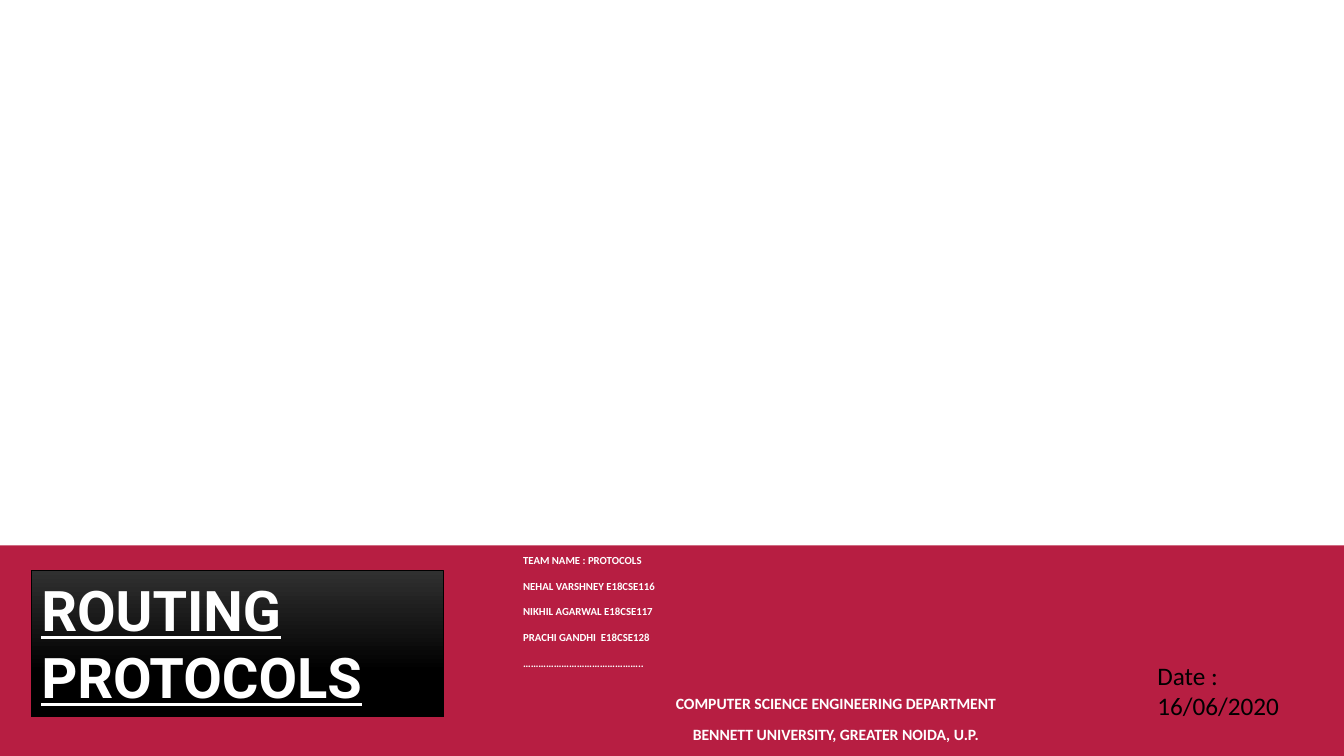
from pptx import Presentation
from pptx.dml.color import RGBColor
from pptx.enum.shapes import MSO_SHAPE
from pptx.enum.text import MSO_ANCHOR, MSO_AUTO_SIZE, PP_ALIGN
from pptx.util import Inches, Pt

RECT = MSO_SHAPE.RECTANGLE
LEFT, CENTER = PP_ALIGN.LEFT, PP_ALIGN.CENTER
TOP = MSO_ANCHOR.TOP
NO_FIT = MSO_AUTO_SIZE.NONE

WIDTH, HEIGHT = 13.33, 7.5
BAND_TOP = 5.41
TEXT_LEFT = 5.09

COLORS = {
    "white": "FFFFFF",
    "crimson": "B71E42",
    "charcoal": "303030",
    "black": "000000",
}
TEAM = [
    "TEAM NAME : PROTOCOLS",
    "NEHAL VARSHNEY E18CSE116",
    "NIKHIL AGARWAL E18CSE117",
    "PRACHI GANDHI  E18CSE128",
    "………………………………………..",
]
DEPARTMENT = [
    "COMPUTER SCIENCE ENGINEERING DEPARTMENT",
    "BENNETT UNIVERSITY, GREATER NOIDA, U.P.",
]


def rgb(name):
    return RGBColor.from_string(COLORS[name])


def add_band(s, top, height, color):
    """Add a plain rectangle across the full slide width."""
    sp = s.shapes.add_shape(RECT, 0, Inches(top), Inches(WIDTH), Inches(height))
    sp.shadow.inherit = False
    sp.fill.solid()
    sp.fill.fore_color.rgb = rgb(color)
    sp.line.fill.background()


def write_lines(tf, lines, size, color, font="Calibri", bold=False,
                align=LEFT, spacing=1.0, before=0):
    tf.word_wrap = True
    tf.auto_size = NO_FIT
    tf.vertical_anchor = TOP
    for i, line in enumerate(lines):
        p = tf.paragraphs[0] if i == 0 else tf.add_paragraph()
        p.alignment = align
        p.line_spacing = spacing
        p.space_before = Pt(before)
        r = p.add_run()
        r.text = line
        r.font.name = font
        r.font.size = Pt(size)
        r.font.bold = bold
        r.font.color.rgb = rgb(color)


def add_text(s, box, lines, size, color, inset=None, **style):
    tf = s.shapes.add_textbox(*map(Inches, box)).text_frame
    if inset is not None:
        tf.margin_left = tf.margin_right = Inches(inset)
        tf.margin_top = tf.margin_bottom = Inches(inset)
    write_lines(tf, lines, size, color, **style)


def format_title(s, box, text):
    """Turn the title placeholder into a gradient box in front of the bands."""
    sp = s.shapes.title
    sp.left, sp.top, sp.width, sp.height = map(Inches, box)
    sp.fill.gradient()
    sp.fill.gradient_angle = 270
    stops = zip(sp.fill.gradient_stops, [(0, "charcoal"), (0.69, "black")])
    for stop, (position, color) in stops:
        stop.position = position
        stop.color.rgb = rgb(color)
    sp.line.color.rgb = rgb("black")
    sp.line.width = Pt(0.75)
    write_lines(sp.text_frame, [text], 40, "white", font="Roboto", bold=True)
    sp.text_frame.paragraphs[0].runs[0].font.underline = True
    s.shapes._spTree.append(sp._element)


def main():
    prs = Presentation()
    prs.slide_width, prs.slide_height = Inches(WIDTH), Inches(HEIGHT)
    s = prs.slides.add_slide(prs.slide_layouts[5])

    add_band(s, 0, BAND_TOP, "white")
    add_band(s, BAND_TOP, HEIGHT - BAND_TOP, "crimson")

    block = {"inset": 0.1, "bold": True, "spacing": 0.9, "before": 10}
    add_text(s, (TEXT_LEFT, BAND_TOP, 8.21, 1.38), TEAM, 7.7, "white", **block)
    add_text(s, (11.38, 6.5, 1.78, 0.71), ["Date : 16/06/2020"], 18, "black")
    add_text(s, (TEXT_LEFT, 6.8, 6.4, 0.69), DEPARTMENT, 11.2, "white",
             align=CENTER, **block)
    format_title(s, (0.31, 5.66, 4.09, 1.45), "ROUTING PROTOCOLS")

    prs.save("out.pptx")


if __name__ == "__main__":
    main()
